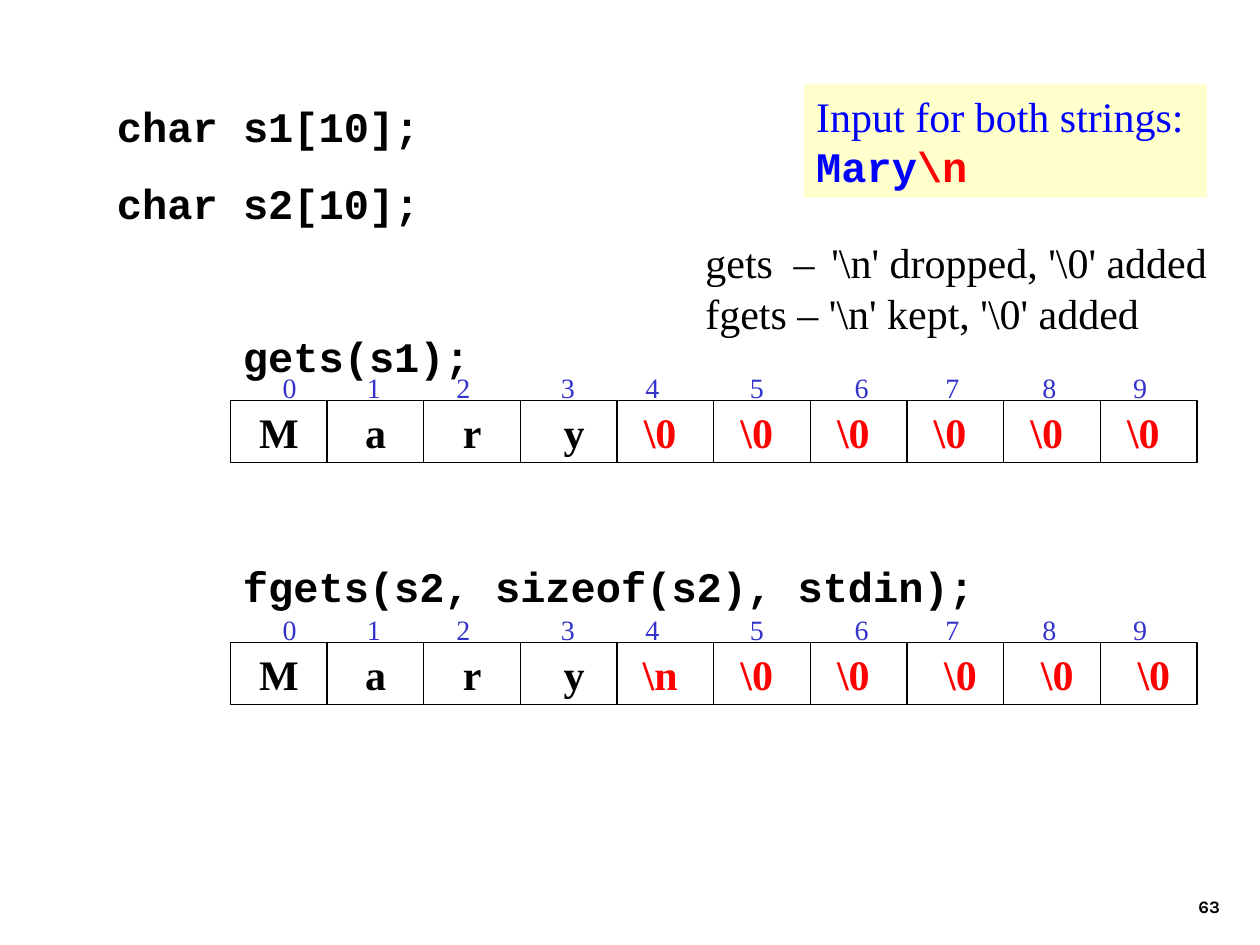
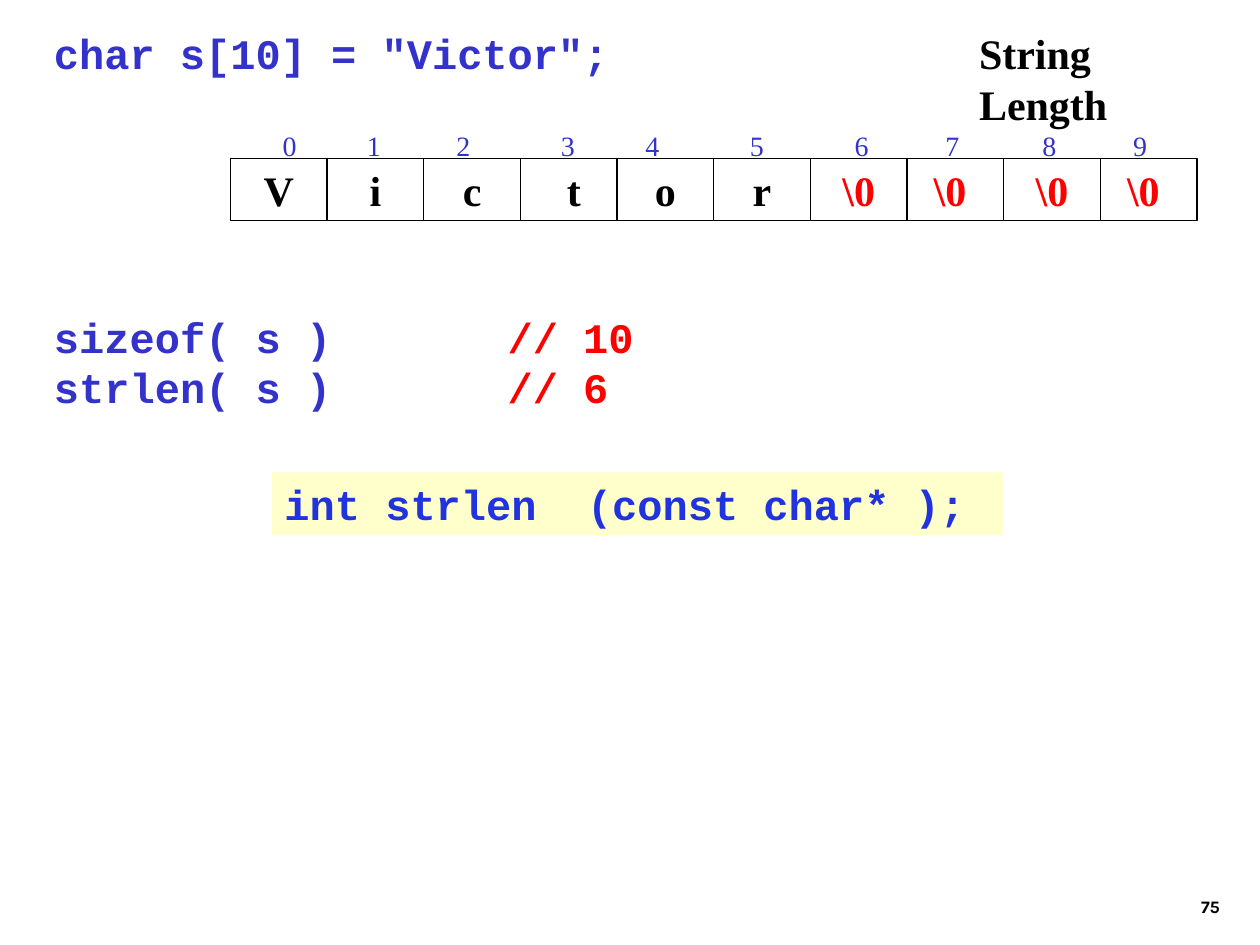
from pptx import Presentation
from pptx.dml.color import RGBColor
from pptx.enum.shapes import MSO_SHAPE
from pptx.enum.text import MSO_ANCHOR, PP_ALIGN
from pptx.oxml.ns import qn
from pptx.util import Inches, Pt
from lxml import etree

RECT = MSO_SHAPE.RECTANGLE
TOP, MID, LOW = MSO_ANCHOR.TOP, MSO_ANCHOR.MIDDLE, MSO_ANCHOR.BOTTOM
LEFT, MIDDLE, RIGHT = PP_ALIGN.LEFT, PP_ALIGN.CENTER, PP_ALIGN.RIGHT

COL = {"black": "000000", "red": "FF0000", "blue": "0000FF",
       "navy": "3333CC", "royal": "2133DF", "cream": "FFFFCC"}

# Text styles
SERIF = {"name": "Times New Roman", "size": Pt(24), "bold": False}
STRONG = {**SERIF, "bold": True}
INDEX = {**SERIF, "size": Pt(16)}
CODE = {"name": "Courier New", "size": Pt(24), "bold": True}
PAGE = {"name": "Karla", "size": Pt(10), "bold": True}


def write(shape, lines, align=LEFT, anchor=TOP, wrap=True, tabs=()):
    """Fill a shape with lines, each a list of (text, style, colour) runs."""
    frame = shape.text_frame
    for key, val in {"word_wrap": wrap, "vertical_anchor": anchor,
                     "margin_left": Inches(0.1), "margin_right": Inches(0.1),
                     "margin_top": Inches(0.05),
                     "margin_bottom": Inches(0.05)}.items():
        setattr(frame, key, val)
    for num, runs in enumerate(lines):
        para = frame.add_paragraph() if num else frame.paragraphs[0]
        para.alignment = align
        if tabs:
            stops = etree.SubElement(para._p.get_or_add_pPr(), qn("a:tabLst"))
            for pos, kind in tabs:
                etree.SubElement(stops, qn("a:tab"),
                                 pos=str(Inches(pos)), algn=kind)
        for text, style, col in runs:
            run = para.add_run()
            run.text = text
            for key, val in style.items():
                setattr(run.font, key, val)
            run.font.color.rgb = RGBColor.from_string(COL[col])
    return frame


def box(slide, at, lines, fill=None, line=None, **form):
    """Add a rectangle, plain or coloured, with its text."""
    shape = slide.shapes.add_shape(RECT, *map(Inches, at))
    shape.shadow.inherit = False
    if fill:
        shape.fill.solid()
        shape.fill.fore_color.rgb = RGBColor.from_string(COL[fill])
    else:
        shape.fill.background()
    if line:
        shape.line.color.rgb = RGBColor.from_string(COL[line])
        shape.line.width = Pt(0.75)
    else:
        shape.line.fill.background()
    return write(shape, lines, **form)


deck = Presentation()
deck.slide_width, deck.slide_height = Inches(10), Inches(7.5)
read = deck.slides.add_slide(deck.slide_layouts[6])
size = deck.slides.add_slide(deck.slide_layouts[5])

# Slide 1: reading strings
code = ["char s1[10];", "char s2[10];", "gets(s1);",
        "fgets(s2, sizeof(s2), stdin);"]
frame = box(read, (0.83, 0.75, 7.92, 4.76),
            [[(text, CODE, "black")] for text in code])
for para, gap in zip(frame.paragraphs[1:], (15, 58.8, 102.6)):
    para.space_before = Pt(gap)
for para in frame.paragraphs[2:]:
    para._p.get_or_add_pPr().set("marL", str(Inches(1)))

box(read, (6.38, 0.67, 3.2, 0.9),
    [[("Input for both strings:", SERIF, "blue")],
     [("Mary", CODE, "blue"), ("\\n", CODE, "red")]], fill="cream")
box(read, (5.5, 1.83, 4.18, 0.9),
    [[("gets\t–\t'\\n' dropped, '\\0' added", SERIF, "black")],
     [("fgets – '\\n' kept, '\\0' added", SERIF, "black")]],
    wrap=False, tabs=[(0.7, "l"), (1, "l")])

# Slide 2: string length
title = size.shapes.title
title.left, title.top, title.width, title.height = map(
    Inches, (7.67, 0.17, 2.19, 0.5))
write(title, [[("String Length", STRONG, "black")]], wrap=False)
box(size, (0.33, 0.17, 7.3, 0.9),
    [[('char s[10] = "Victor";', CODE, "navy")]])
box(size, (0.33, 2.42, 6.42, 1.3),
    [[(call + "\t", CODE, "navy"), (note, CODE, "red")]
     for call, note in (("sizeof( s )", "// 10"), ("strlen( s )", "// 6"))],
    tabs=[(3.6, "l")])
box(size, (2.16, 3.75, 5.8, 0.5),
    [[("int strlen  (const char* );", CODE, "royal")]], fill="cream")

# Character arrays with their indexes
spots = [0.37, 1.04, 1.75, 2.58, 3.25, 4.08, 4.91, 5.63, 6.4, 7.12]
start, wide, high = 1.83, 7.67, 0.49
step = wide / len(spots)
end, mid = "\\0 ", " \\0"
arrays = [
    (read, 3.18, ["M", "a", "r", " y"] + [end] * 6),
    (read, 5.1, ["M", "a", "r", " y", "\\n ", end, end] + [mid] * 3),
    (size, 1.26, ["V", "i", "c", " t", "o", "r", "\\0", end, " \\0 ", end]),
]
for slide, top, chars in arrays:
    marks = "".join(f"\t{num}" for num in range(len(chars)))
    box(slide, (start, top - 0.35, wide, high), [[(marks, INDEX, "navy")]],
        anchor=MID, tabs=[(spot, "ctr") for spot in spots])
    for num, char in enumerate(chars):
        col = "red" if "\\" in char else "black"
        box(slide, (start + num * step, top, step, high),
            [[(char, STRONG, col)]], line="black", align=MIDDLE,
            anchor=MID, wrap=False)

# Page numbers
for slide, page in ((read, "63"), (size, "75")):
    box(slide, (7.7, 6.83, 2.08, 0.5), [[(page, PAGE, "black")]],
        align=RIGHT, anchor=LOW)

deck.save("out.pptx")
